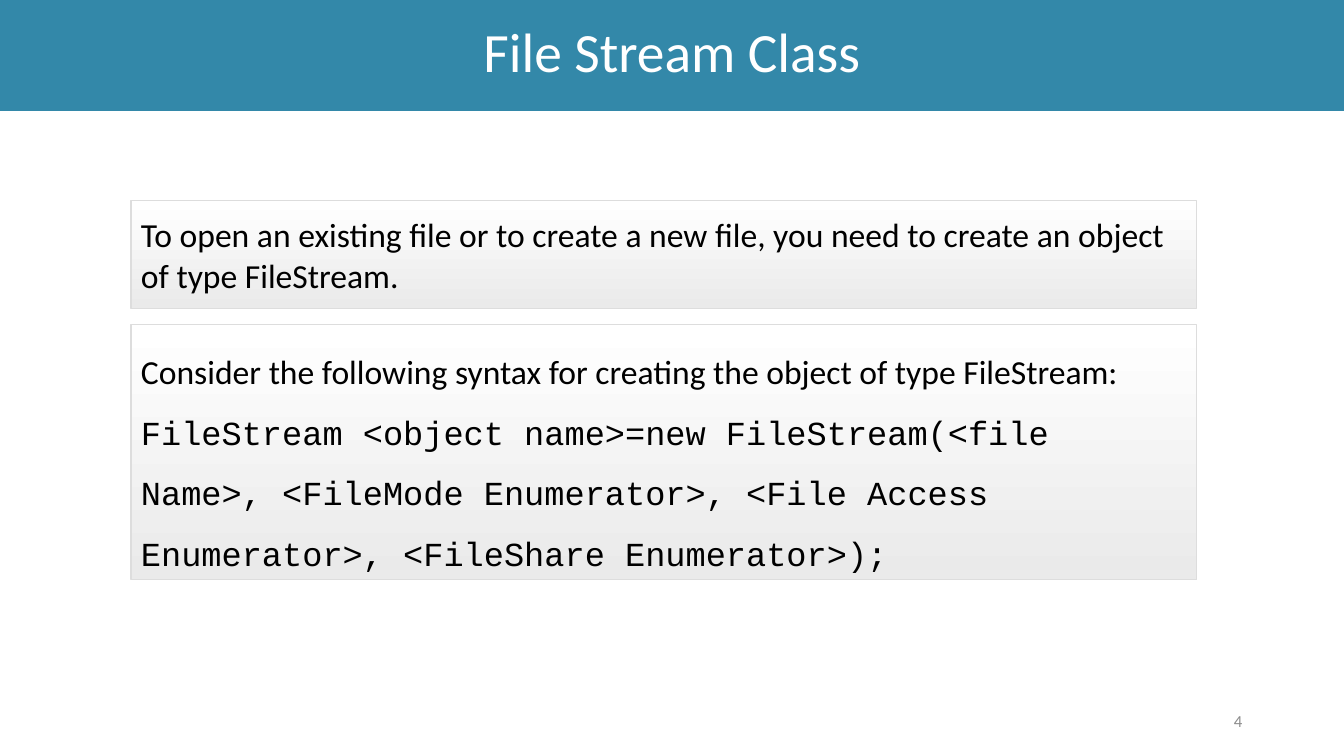
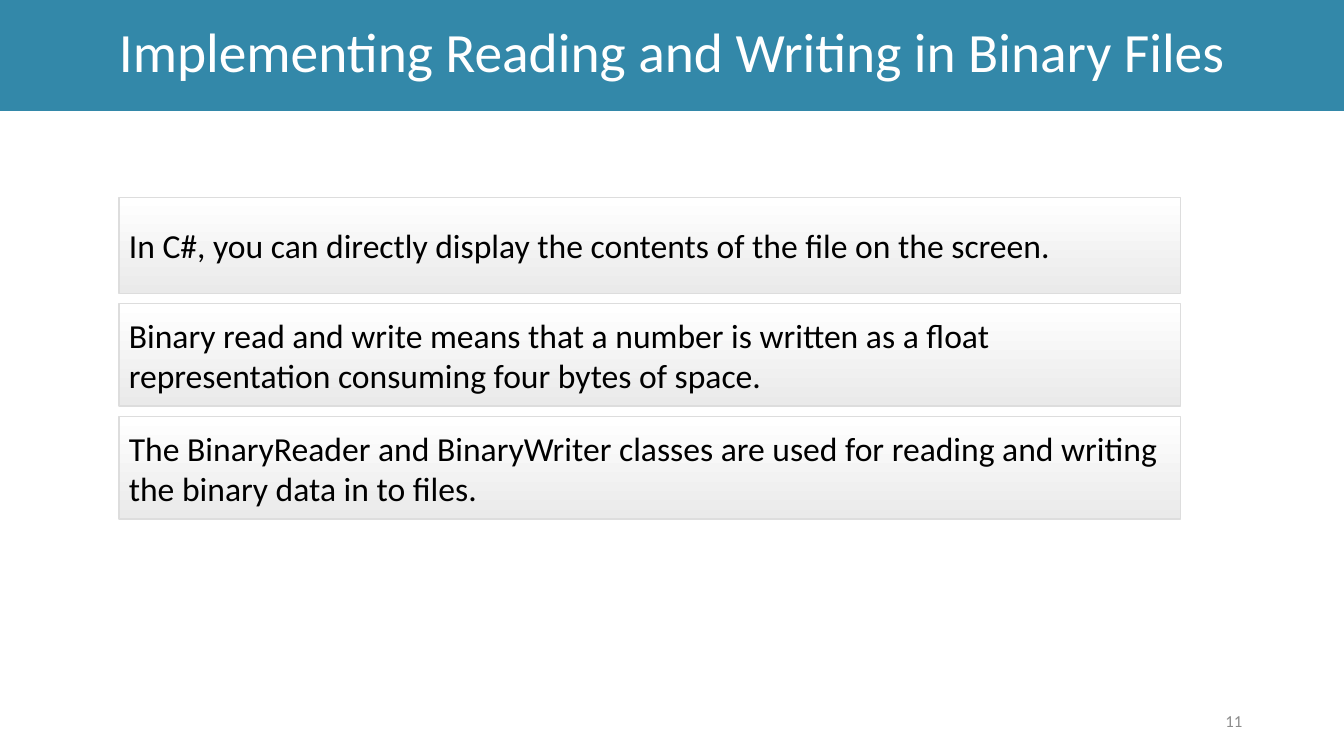
"""Build two slides on file streams and binary files."""
from pptx import Presentation
from pptx.dml.color import RGBColor
from pptx.enum.shapes import MSO_SHAPE
from pptx.enum.text import MSO_ANCHOR, PP_ALIGN
from pptx.util import Inches, Pt

BODY, CODE = "Calibri", "Courier New"

SLIDES = [
    {
        "title": "File Stream Class",
        "number": "4",
        "left": 1.3, "top": 1.99, "width": 10.57, "gap": 0.16,
        "boxes": [
            (1.07, 1.0, [("To open an existing file or to create a new file, you need to "
                          "create an object of type FileStream.", BODY)]),
            (2.53, 1.5, [("Consider the following syntax for creating the object of type "
                          "FileStream:", BODY),
                         ("FileStream <object name>=new FileStream(<file Name>, "
                          "<FileMode Enumerator>, <File Access Enumerator>, "
                          "<FileShare Enumerator>);", CODE)]),
        ],
    },
    {
        "title": "Implementing Reading and Writing in Binary Files",
        "number": "11",
        "left": 1.18, "top": 1.96, "width": 10.53, "gap": 0.1,
        "boxes": [
            (0.95, 1.0, [("In C#, you can directly display the contents of the file on the "
                          "screen.", BODY)]),
            (1.02, 1.0, [("Binary read and write means that a number is written as a float "
                          "representation consuming four bytes of space.", BODY)]),
            (1.02, 1.0, [("The BinaryReader and BinaryWriter classes are used for reading "
                          "and writing the binary data in to files.", BODY)]),
        ],
    },
]

WIDTH, HEIGHT = 13.33, 7.5
TITLE_BAND = (0, 0, WIDTH, 1.1)
NUMBER_AREA = (9.42, 6.95, 3, 0.4)
TEAL = RGBColor(0x33, 0x88, 0xA9)
WHITE = RGBColor(0xFF, 0xFF, 0xFF)
BLACK = RGBColor(0, 0, 0)
PALE_GREY = RGBColor(0xEA, 0xEA, 0xEA)
BORDER_GREY = RGBColor(0xDD, 0xDD, 0xDD)
NUMBER_GREY = RGBColor(0x8C, 0x8C, 0x8C)


def write(shape, paragraphs, size, color, align, spacing=1.0):
    frame = shape.text_frame
    frame.word_wrap = True
    frame.vertical_anchor = MSO_ANCHOR.MIDDLE
    for index, (text, font) in enumerate(paragraphs):
        paragraph = frame.add_paragraph() if index else frame.paragraphs[0]
        paragraph.alignment = align
        paragraph.line_spacing = spacing
        run = paragraph.add_run()
        run.text = text
        run.font.name = font
        run.font.size = Pt(size)
        run.font.color.rgb = color


def add_rectangle(slide, area):
    shape = slide.shapes.add_shape(MSO_SHAPE.RECTANGLE, *map(Inches, area))
    shape.shadow.inherit = False
    return shape


def add_title(slide, title):
    band = add_rectangle(slide, TITLE_BAND)
    band.fill.solid()
    band.fill.fore_color.rgb = TEAL
    band.line.fill.background()
    band.text_frame.margin_bottom = Inches(0.07)
    write(band, [(title, BODY)], 39.6, WHITE, PP_ALIGN.CENTER, 0.9)


def add_number(slide, number):
    box = slide.shapes.add_textbox(*map(Inches, NUMBER_AREA))
    write(box, [(number, BODY)], 12, NUMBER_GREY, PP_ALIGN.RIGHT)


def add_text_box(slide, area, paragraphs, spacing):
    box = add_rectangle(slide, area)
    box.fill.gradient()
    box.fill.gradient_angle = 270
    for stop, color, position in zip(box.fill.gradient_stops, (WHITE, PALE_GREY), (0, 1)):
        stop.color.rgb = color
        stop.position = position
    box.line.color.rgb = BORDER_GREY
    box.line.width = Pt(1)
    write(box, paragraphs, 24, BLACK, PP_ALIGN.LEFT, spacing)


def build():
    deck = Presentation()
    deck.slide_width, deck.slide_height = Inches(WIDTH), Inches(HEIGHT)
    for content in SLIDES:
        slide = deck.slides.add_slide(deck.slide_layouts[6])
        add_title(slide, content["title"])
        add_number(slide, content["number"])
        top = content["top"]
        for height, spacing, paragraphs in content["boxes"]:
            area = (content["left"], top, content["width"], height)
            add_text_box(slide, area, paragraphs, spacing)
            top += height + content["gap"]
    deck.save("out.pptx")


build()
